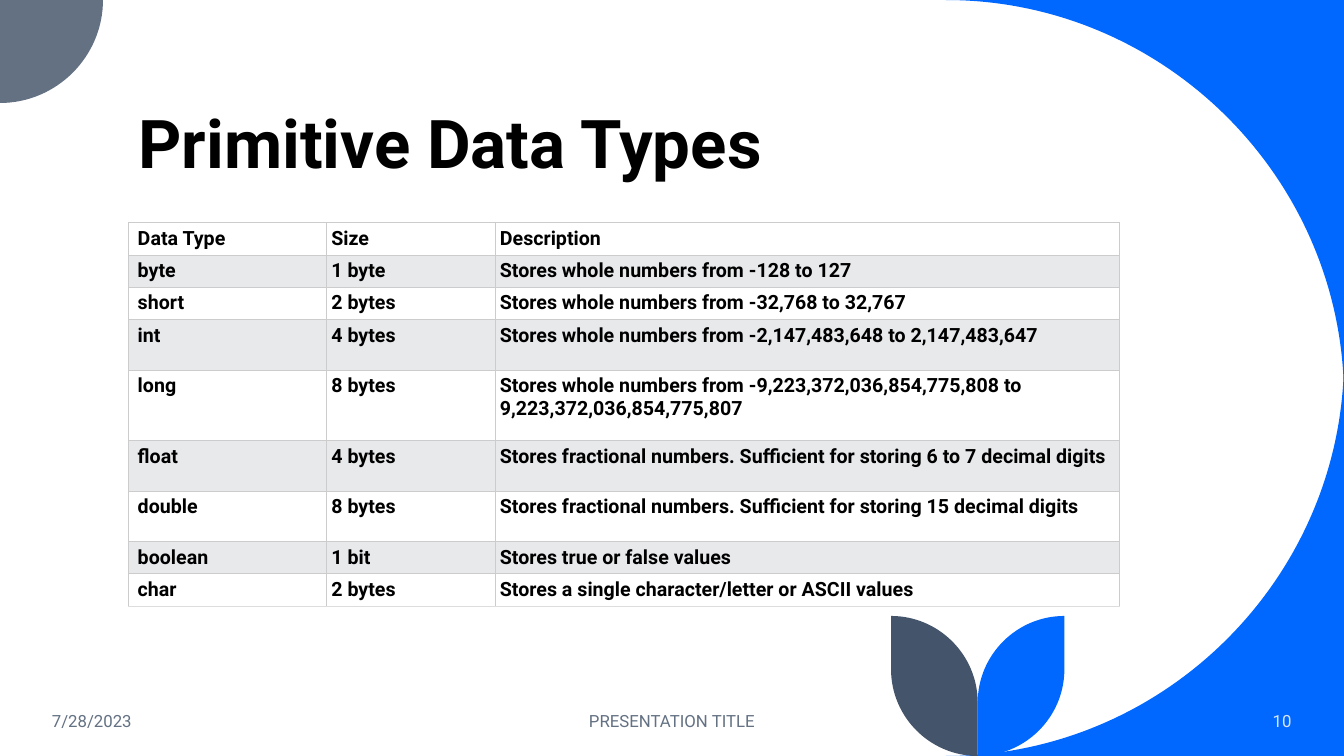
from dataclasses import dataclass

from lxml import etree
from pptx import Presentation
from pptx.dml.color import RGBColor
from pptx.enum.text import MSO_ANCHOR, MSO_AUTO_SIZE, PP_ALIGN
from pptx.oxml.ns import qn
from pptx.slide import Slide
from pptx.text.text import TextFrame
from pptx.util import Pt

LEFT, CENTER, RIGHT = PP_ALIGN.LEFT, PP_ALIGN.CENTER, PP_ALIGN.RIGHT
TOP, MIDDLE, BOTTOM = MSO_ANCHOR.TOP, MSO_ANCHOR.MIDDLE, MSO_ANCHOR.BOTTOM
NO_AUTOFIT = MSO_AUTO_SIZE.NONE

FONT = "Roboto"
COLORS = {
    "blue": "0068FF", "slate": "637183", "navy": "44546A", "black": "000000",
    "white": "FFFFFF", "band": "E7E9EB", "border": "CCCCCC",
    "last_border": "DDDDDD", "pale": "DAE5EF",
}
WIDTH, HEIGHT = 960, 540
SWEEP, LEAF, CORNER = 284.4, 61.9, 73.6  # radii
STEM = 698.4  # x where the two leaves meet
LEAF_TOP = 440
KAPPA = 0.55  # Bézier handle length of a quarter circle
EDGE = 91.8  # left edge of title and table

Point = tuple[float, float]


@dataclass
class Quarter:
    """Quarter circle from start to end that bulges towards bend."""
    start: Point
    bend: Point
    end: Point

    def points(self) -> list[Point]:
        handles = [(x + KAPPA * (self.bend[0] - x), y + KAPPA * (self.bend[1] - y))
                   for x, y in (self.start, self.end)]
        return [self.start, *handles, self.end]


@dataclass
class Outline:
    """Closed shape of quarter circles joined by straight lines, with an optional corner."""
    color: str
    quarters: list[Quarter]
    corner: Point | None = None


@dataclass
class FooterItem:
    text: str
    left: float
    width: float
    align: PP_ALIGN
    color: str = "slate"


@dataclass
class DataRow:
    cells: tuple[str, str, str]
    height: float = 23.1


def leaf(color: str, side: int) -> Outline:
    """Leaf to the right (side 1) or left (side -1) of the stem."""
    tip = STEM + side * LEAF
    return Outline(color, [
        Quarter((tip, HEIGHT - LEAF), (tip, HEIGHT), (STEM, HEIGHT)),
        Quarter((STEM, LEAF_TOP + LEAF), (STEM, LEAF_TOP), (tip, LEAF_TOP))])


def sweep(y: float, inward: int) -> Outline:
    """Blue area between the slide corner at height y and a large quarter circle."""
    corner = (WIDTH, y)
    return Outline("blue", [
        Quarter((WIDTH - SWEEP, y), corner, (WIDTH, y + inward * SWEEP))], corner)


OUTLINES = [
    sweep(0, 1),
    sweep(HEIGHT, -1),
    Outline("slate", [Quarter((CORNER, 0), (CORNER, CORNER), (0, CORNER))], (0, 0)),
    leaf("blue", 1),
    leaf("navy", -1),
]
FOOTER = [
    FooterItem("7/28/2023", 30, 216, LEFT),
    FooterItem("PRESENTATION TITLE", 318, 324, CENTER),
    FooterItem("10", 799.2, 130.4, RIGHT, "pale"),
]
COLUMNS = [141.6, 120.4, 445.9]
ROWS = [
    DataRow(("Data Type", "Size", "Description")),
    DataRow(("byte", "1 byte", "Stores whole numbers from -128 to 127")),
    DataRow(("short", "2 bytes", "Stores whole numbers from -32,768 to 32,767")),
    DataRow(("int", "4 bytes",
             "Stores whole numbers from -2,147,483,648 to 2,147,483,647"), 36),
    DataRow(("long", "8 bytes", "Stores whole numbers from "
             "-9,223,372,036,854,775,808 to 9,223,372,036,854,775,807"), 50.5),
    DataRow(("float", "4 bytes", "Stores fractional numbers. "
             "Sufficient for storing 6 to 7 decimal digits"), 36),
    DataRow(("double", "8 bytes", "Stores fractional numbers. "
             "Sufficient for storing 15 decimal digits"), 36),
    DataRow(("boolean", "1 bit", "Stores true or false values")),
    DataRow(("char", "2 bytes", "Stores a single character/letter or ASCII values")),
]


def rgb(name: str) -> RGBColor:
    return RGBColor.from_string(COLORS[name])


def write(tf: TextFrame, text: str, *, size: float, color: str = "black",
          bold: bool = False, align: PP_ALIGN = LEFT, spacing: float = 1.0) -> None:
    p = tf.paragraphs[0]
    p.alignment, p.line_spacing = align, spacing
    r = p.add_run()
    r.text = text
    r.font.name, r.font.size, r.font.bold = FONT, Pt(size), bold
    r.font.color.rgb = rgb(color)


def bend_lines(sp, first: int, count: int) -> None:
    """Turn three line segments per quarter circle into one Bézier curve."""
    lines = list(sp._element.iter(qn("a:lnTo")))
    for i in range(count):
        start = first + 4 * i
        curve = etree.Element(qn("a:cubicBezTo"))
        lines[start].addprevious(curve)
        for line in lines[start:start + 3]:
            curve.append(line[0])
            line.getparent().remove(line)


def draw_outline(s: Slide, outline: Outline) -> None:
    points = [outline.corner] if outline.corner else []
    for quarter in outline.quarters:
        points += quarter.points()
    points = [(Pt(x), Pt(y)) for x, y in points]
    builder = s.shapes.build_freeform(*points[0])
    builder.add_line_segments(points[1:], close=True)
    sp = builder.convert_to_shape()
    bend_lines(sp, 1 if outline.corner else 0, len(outline.quarters))
    sp.shadow.inherit = False
    sp.fill.solid()
    sp.fill.fore_color.rgb = rgb(outline.color)
    sp.line.fill.background()


def add_title(s: Slide, text: str) -> None:
    sp = s.shapes.title
    sp.left, sp.top, sp.width, sp.height = Pt(EDGE), Pt(30.2), Pt(769.7), Pt(104.4)
    tf = sp.text_frame
    tf.auto_size, tf.vertical_anchor = NO_AUTOFIT, BOTTOM
    write(tf, text, size=48, bold=True, spacing=0.9)


def set_borders(cell, bottom: str) -> None:
    tc_pr = cell._tc.get_or_add_tcPr()
    sides = {"a:lnL": "border", "a:lnR": "border", "a:lnT": "border", "a:lnB": bottom}
    for i, (tag, color) in enumerate(sides.items()):
        line = etree.Element(qn(tag), w=str(Pt(0.6)))
        fill = etree.SubElement(line, qn("a:solidFill"))
        etree.SubElement(fill, qn("a:srgbClr"), val=COLORS[color])
        tc_pr.insert(i, line)


def add_types_table(s: Slide) -> None:
    table = s.shapes.add_table(
        len(ROWS), len(COLUMNS), Pt(EDGE), Pt(159), Pt(sum(COLUMNS)),
        Pt(sum(row.height for row in ROWS))).table
    for column, width in zip(table.columns, COLUMNS):
        column.width = Pt(width)
    for i, row in enumerate(ROWS):
        table.rows[i].height = Pt(row.height)
        for j, text in enumerate(row.cells):
            cell = table.cell(i, j)
            cell.margin_left = Pt(3.3 if j else 6.6)
            cell.margin_top = cell.margin_right = cell.margin_bottom = Pt(3.2)
            cell.vertical_anchor = TOP
            cell.fill.solid()
            cell.fill.fore_color.rgb = rgb("band" if i % 2 else "white")
            set_borders(cell, "last_border" if i == len(ROWS) - 1 else "border")
            write(cell.text_frame, text, size=14, bold=True)


def add_footer_item(s: Slide, item: FooterItem) -> None:
    tf = s.shapes.add_textbox(Pt(item.left), Pt(500.4), Pt(item.width), Pt(28.8)).text_frame
    tf.word_wrap, tf.vertical_anchor = True, MIDDLE
    write(tf, item.text, size=12, color=item.color, align=item.align)


def main() -> None:
    prs = Presentation()
    prs.slide_width, prs.slide_height = Pt(WIDTH), Pt(HEIGHT)
    s = prs.slides.add_slide(prs.slide_layouts[5])
    for outline in OUTLINES:
        draw_outline(s, outline)
    add_title(s, "Primitive Data Types")
    add_types_table(s)
    for item in FOOTER:
        add_footer_item(s, item)
    prs.save("out.pptx")


if __name__ == "__main__":
    main()
